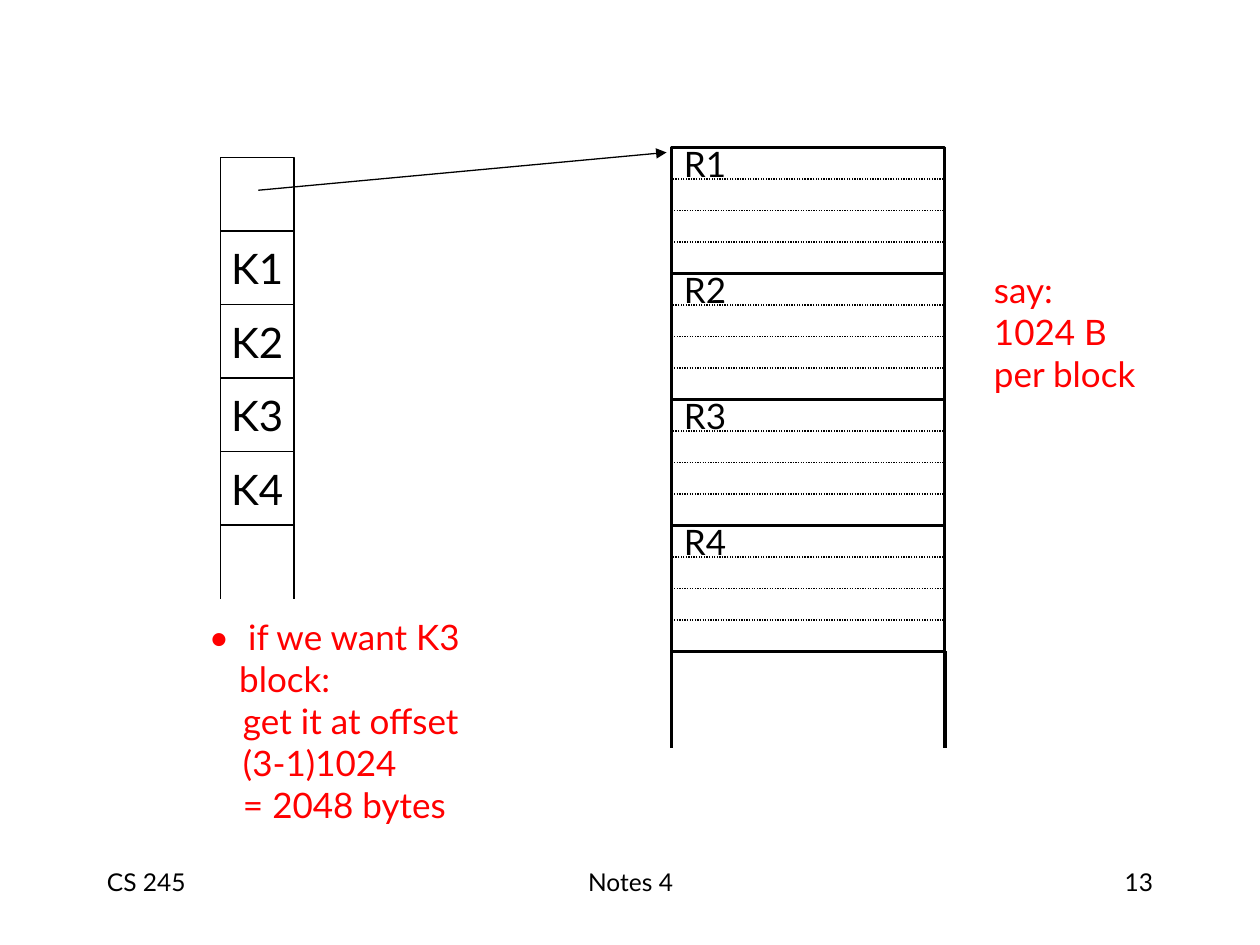
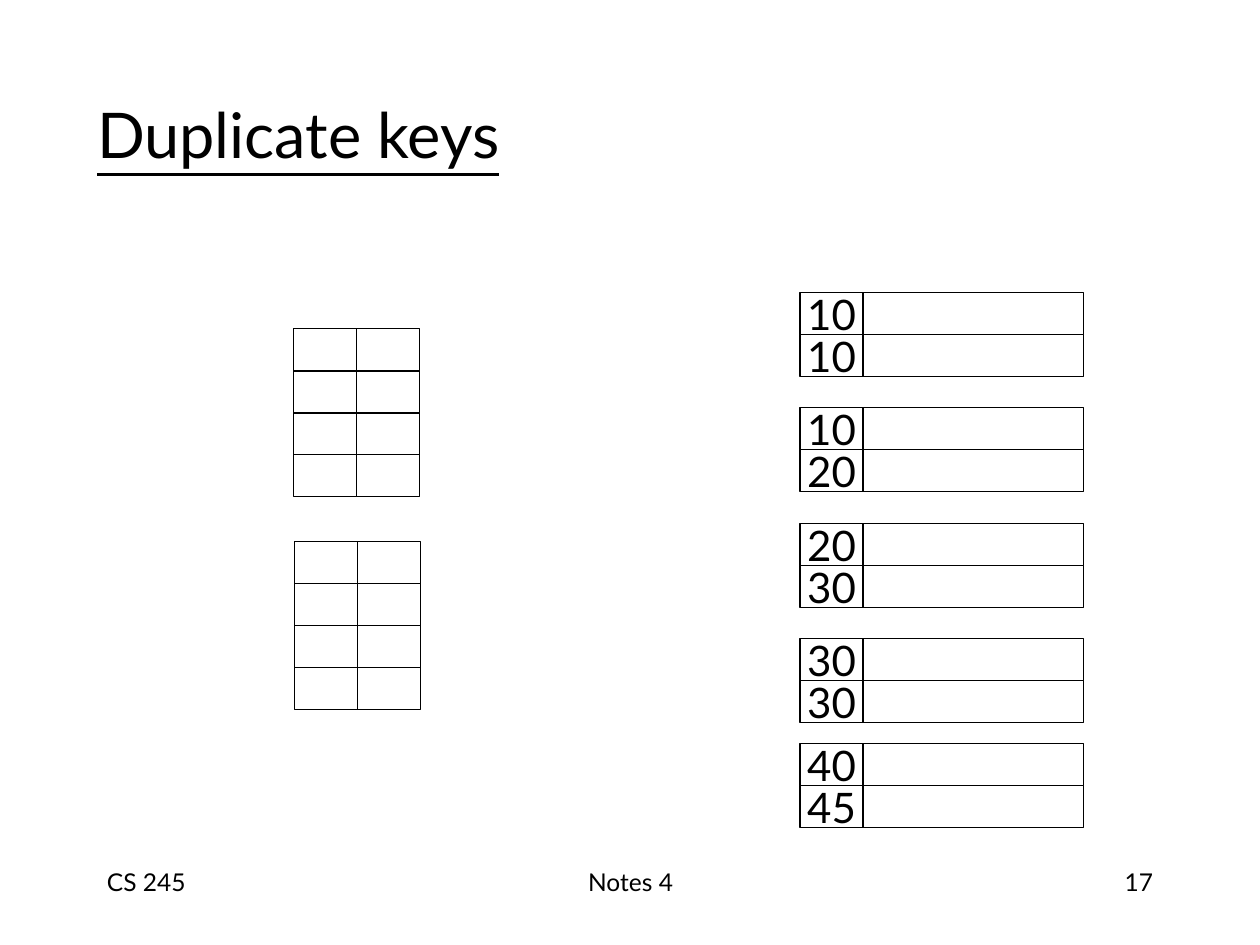
"""Builds two lecture slides on sequential index blocks and duplicate keys."""
from dataclasses import dataclass
from typing import Any, Optional

from lxml.etree import SubElement
from pptx import Presentation
from pptx.dml.color import RGBColor
from pptx.enum.dml import MSO_LINE
from pptx.enum.shapes import MSO_CONNECTOR, MSO_SHAPE
from pptx.enum.text import MSO_ANCHOR, PP_ALIGN
from pptx.oxml.ns import qn
from pptx.util import Inches, Pt

COLORS = {"ink": "000000", "paper": "FFFFFF", "remark": "FF0000"}
FONT = "Lato"
KEY_SIDE = 7 / 12
ROW_HEIGHT = 1 / 3
RECORD_LEFT, RECORD_RIGHT, RECORD_TOP = 5.33, 7.5, 1.17
RECORD_WIDTH = RECORD_RIGHT - RECORD_LEFT


@dataclass
class Cell:
    left: float
    top: float
    width: float
    height: float
    text: str = ""
    size: float = 24
    align: PP_ALIGN = PP_ALIGN.CENTER
    fill: Optional[str] = "paper"
    weight: float = 0.75
    dash: Optional[MSO_LINE] = None


@dataclass
class Rule:
    x1: float
    y1: float
    x2: float
    y2: float
    weight: float = 0.75
    dash: Optional[MSO_LINE] = None
    arrow: bool = False


@dataclass
class Label:
    left: float
    top: float
    width: float
    height: float
    text: str
    size: float = 14
    color: str = "ink"
    align: PP_ALIGN = PP_ALIGN.LEFT
    anchor: MSO_ANCHOR = MSO_ANCHOR.TOP


def rgb(name: str) -> RGBColor:
    return RGBColor.from_string(COLORS[name])


def style_text(frame: Any, size: float, color: str, align: PP_ALIGN) -> None:
    for paragraph in frame.paragraphs:
        paragraph.alignment = align
        for run in paragraph.runs:
            run.font.name = FONT
            run.font.size = Pt(size)
            run.font.color.rgb = rgb(color)


def style_line(line: Any, weight: float, dash: Optional[MSO_LINE]) -> None:
    line.color.rgb = rgb("ink")
    line.width = Pt(weight)
    if dash is not None:
        line.dash_style = dash


def draw_cell(shapes: Any, cell: Cell) -> None:
    box = shapes.add_shape(MSO_SHAPE.RECTANGLE, Inches(cell.left), Inches(cell.top),
                           Inches(cell.width), Inches(cell.height))
    box.shadow.inherit = False
    if cell.fill:
        box.fill.solid()
        box.fill.fore_color.rgb = rgb(cell.fill)
    else:
        box.fill.background()
    style_line(box.line, cell.weight, cell.dash)
    if cell.text:
        frame = box.text_frame
        frame.text = cell.text
        frame.word_wrap = cell.align == PP_ALIGN.LEFT
        frame.vertical_anchor = MSO_ANCHOR.MIDDLE
        style_text(frame, cell.size, "ink", cell.align)


def draw_rule(shapes: Any, rule: Rule) -> None:
    connector = shapes.add_connector(MSO_CONNECTOR.STRAIGHT, Inches(rule.x1), Inches(rule.y1),
                                     Inches(rule.x2), Inches(rule.y2))
    style_line(connector.line, rule.weight, rule.dash)
    properties = connector._element.spPr
    if rule.arrow:
        SubElement(properties.find(qn("a:ln")), qn("a:tailEnd"), type="triangle")
    SubElement(properties, qn("a:effectLst"))


def draw_label(shapes: Any, label: Label) -> Any:
    box = shapes.add_textbox(Inches(label.left), Inches(label.top),
                             Inches(label.width), Inches(label.height))
    frame = box.text_frame
    frame.text = label.text
    frame.word_wrap = True
    frame.vertical_anchor = label.anchor
    style_text(frame, label.size, label.color, label.align)
    return frame


def indent(paragraph: Any, margin: float, bullet: str = "") -> None:
    properties = paragraph._p.get_or_add_pPr()
    properties.set("marL", str(Inches(margin)))
    if bullet:
        properties.set("indent", str(-Inches(margin)))
        color = SubElement(properties, qn("a:buClr"))
        SubElement(color, qn("a:srgbClr"), val=COLORS["remark"])
        SubElement(properties, qn("a:buFont"), typeface=FONT)
        SubElement(properties, qn("a:buChar"), char=bullet)


def draw_footer(slide: Any, number: int) -> None:
    for label in (Label(0.75, 6.83, 2.08, 0.5, "CS 245"),
                  Label(3.42, 6.83, 3.17, 0.5, "Notes 4", align=PP_ALIGN.CENTER),
                  Label(7.17, 6.83, 2.08, 0.5, str(number), align=PP_ALIGN.RIGHT)):
        draw_label(slide.shapes, label)


def draw_record(slide: Any, name: str, top: float) -> None:
    shapes = slide.shapes.add_group_shape().shapes
    draw_cell(shapes, Cell(RECORD_LEFT, top, RECORD_WIDTH, 0.25, name, 20,
                           PP_ALIGN.LEFT, dash=MSO_LINE.ROUND_DOT))
    draw_cell(shapes, Cell(RECORD_LEFT, top, RECORD_WIDTH, 1, fill=None, weight=1.75))
    for y in (top + 0.5, top + 0.75):
        draw_rule(shapes, Rule(RECORD_LEFT, y, RECORD_RIGHT, y, dash=MSO_LINE.ROUND_DOT))


def draw_grid(slide: Any, left: float, top: float, widths: tuple[float, ...],
              rows: list[tuple[str, ...]]) -> None:
    shapes = slide.shapes.add_group_shape().shapes
    for r, row in enumerate(rows):
        for c, text in enumerate(row):
            draw_cell(shapes, Cell(left + sum(widths[:c]), top + r * ROW_HEIGHT,
                                   widths[c], ROW_HEIGHT, text))


def build_offset_slide(deck: Any) -> None:
    slide = deck.slides.add_slide(deck.slide_layouts[6])
    shapes = slide.shapes
    draw_footer(slide, 13)

    key_left, key_top = 1.75, 1.25
    keys = ("", "K1", "K2", "K3", "K4")
    for i, key in enumerate(keys):
        draw_cell(shapes, Cell(key_left, key_top + i * KEY_SIDE, KEY_SIDE, KEY_SIDE, key))
    keys_end = key_top + len(keys) * KEY_SIDE
    for x in (key_left, key_left + KEY_SIDE):
        draw_rule(shapes, Rule(x, keys_end, x, keys_end + KEY_SIDE))

    records = ("R1", "R2", "R3", "R4")
    for i, record in enumerate(records):
        draw_record(slide, record, RECORD_TOP + i)
    records_end = RECORD_TOP + len(records)
    for x in (RECORD_LEFT, RECORD_RIGHT):
        draw_rule(shapes, Rule(x, records_end, x, 5.94, weight=2))
    draw_rule(shapes, Rule(2.05, 1.51, 5.29, 1.21, arrow=True))

    draw_label(shapes, Label(7.79, 2.08, 1.41, 1.1, "say:\n1024 B\nper block",
                             20, "remark", anchor=MSO_ANCHOR.MIDDLE))
    lookup = draw_label(shapes, Label(
        1.56, 5, 2.95, 1.44,
        " if we want K3 block:\nget it at offset\n(3-1)1024\n= 2048 bytes",
        20, "remark", anchor=MSO_ANCHOR.MIDDLE))
    lookup.margin_right = Inches(0.7)
    question, *answer = lookup.paragraphs
    indent(question, 0.24, "•")
    for step in answer:
        indent(step, 0.27)


def build_duplicates_slide(deck: Any) -> None:
    slide = deck.slides.add_slide(deck.slide_layouts[5])
    draw_footer(slide, 17)

    title = slide.shapes.title
    title.left, title.top = Inches(0.67), Inches(0.67)
    title.width, title.height = Inches(3.67), Inches(0.77)
    title.text_frame.text = "Duplicate keys"
    title.text_frame.vertical_anchor = MSO_ANCHOR.MIDDLE
    style_text(title.text_frame, 36, "ink", PP_ALIGN.LEFT)
    title.text_frame.paragraphs[0].runs[0].font.underline = True

    block_tops = [2.32 + i * 11 / 12 for i in range(4)] + [5.9]
    block_keys = (("10", "10"), ("10", "20"), ("20", "30"), ("30", "30"), ("40", "45"))
    for top, keys in zip(block_tops, block_keys):
        draw_grid(slide, 6.35, top, (0.5, 1.75), [(key, "") for key in keys])
    for left, top in ((2.33, 2.61), (2.34, 4.3)):
        draw_grid(slide, left, top, (0.5, 0.5), [("", "")] * 4)


def main() -> None:
    deck = Presentation()
    deck.slide_width, deck.slide_height = Inches(10), Inches(7.5)
    build_offset_slide(deck)
    build_duplicates_slide(deck)
    deck.save("out.pptx")


if __name__ == "__main__":
    main()
